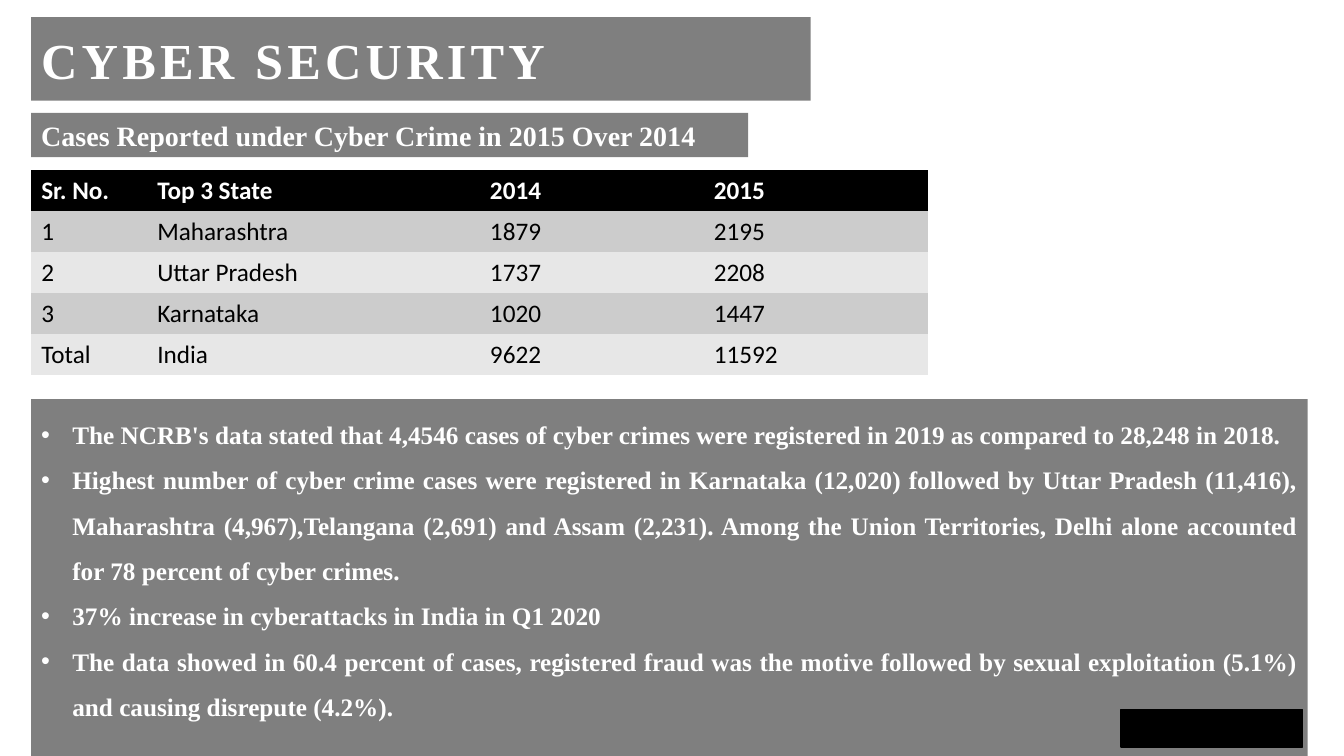
from lxml.etree import SubElement
from pptx import Presentation
from pptx.dml.color import RGBColor
from pptx.enum.shapes import MSO_SHAPE as Shape
from pptx.enum.text import MSO_ANCHOR as Anchor, PP_ALIGN as Align
from pptx.oxml.ns import qn
from pptx.util import Inches, Pt

BLACK = RGBColor(0x00, 0x00, 0x00)
WHITE = RGBColor(0xFF, 0xFF, 0xFF)
BAND_DARK = RGBColor(0xCC, 0xCC, 0xCC)
BAND_LIGHT = RGBColor(0xE7, 0xE7, 0xE7)
SERIF, SANS = "Times New Roman", "Calibri"
PLAIN_TABLE_STYLE = "{2D5ABB26-0587-4C30-8999-92F81FD0307C}"
LEFT = 0.31
INDENT = 0.31

CASES = [
    ["Sr. No.", "Top 3 State", "2014", "2015"],
    ["1", "Maharashtra", "1879", "2195"],
    ["2", "Uttar Pradesh", "1737", "2208"],
    ["3", "Karnataka", "1020", "1447"],
    ["Total", "India", "9622", "11592"],
]
COLUMN_WIDTHS = [1.15, 3.3, 2.22, 2.22]
FINDINGS = [
    "The NCRB's data stated that 4,4546 cases of cyber crimes were registered in 2019 "
    "as compared to 28,248 in 2018.",
    "Highest number of cyber crime cases were registered in Karnataka (12,020) followed by "
    "Uttar Pradesh (11,416), Maharashtra (4,967),Telangana (2,691) and Assam (2,231). "
    "Among the Union Territories, Delhi alone accounted for 78 percent of cyber crimes.",
    "37% increase in cyberattacks in India in Q1 2020",
    "The data showed in 60.4 percent of cases, registered fraud was the motive followed by "
    "sexual exploitation (5.1%) and causing disrepute (4.2%).",
]


def add_run(paragraph, text, size, font_name, color, bold):
    run = paragraph.add_run()
    run.text = text
    run.font.size = Pt(size)
    run.font.name = font_name
    run.font.color.rgb = color
    run.font.bold = bold
    return run


def add_panel(slide, box, opacity=50):
    panel = slide.shapes.add_shape(Shape.RECTANGLE, *map(Inches, box))
    panel.shadow.inherit = False
    panel.fill.solid()
    panel.fill.fore_color.rgb = BLACK
    color = panel.fill._xPr.find(qn("a:solidFill")).find(qn("a:srgbClr"))
    SubElement(color, qn("a:alpha"), val=str(opacity * 1000))
    panel.line.fill.background()
    panel.text_frame.word_wrap = True
    return panel


def add_heading(slide, box, text, size, spacing=0):
    frame = add_panel(slide, box).text_frame
    frame.vertical_anchor = Anchor.MIDDLE
    paragraph = frame.paragraphs[0]
    paragraph.alignment = Align.LEFT
    run = add_run(paragraph, text, size, SERIF, WHITE, True)
    if spacing:
        run.font._element.set("spc", str(spacing * 100))


def add_cases_table(slide, box):
    frame = slide.shapes.add_table(len(CASES), len(COLUMN_WIDTHS), *map(Inches, box))
    table = frame.table
    table.horz_banding = False
    table._tbl.tblPr.find(qn("a:tableStyleId")).text = PLAIN_TABLE_STYLE
    for column, width in zip(table.columns, COLUMN_WIDTHS):
        column.width = Inches(width)
    for row_index, values in enumerate(CASES):
        header = row_index == 0
        band = BLACK if header else (BAND_DARK if row_index % 2 else BAND_LIGHT)
        for column_index, value in enumerate(values):
            cell = table.cell(row_index, column_index)
            cell.fill.solid()
            cell.fill.fore_color.rgb = band
            add_run(cell.text_frame.paragraphs[0], value, 18, SANS,
                    WHITE if header else BLACK, header)


def add_findings(slide, box):
    frame = add_panel(slide, box).text_frame
    frame.vertical_anchor = Anchor.TOP
    for index, finding in enumerate(FINDINGS):
        paragraph = frame.add_paragraph() if index else frame.paragraphs[0]
        paragraph.alignment = Align.JUSTIFY
        paragraph.line_spacing = 1.5
        properties = paragraph._p.get_or_add_pPr()
        properties.set("marL", str(Inches(INDENT)))
        properties.set("indent", str(-Inches(INDENT)))
        SubElement(properties, qn("a:buFont"), typeface="Arial")
        SubElement(properties, qn("a:buChar"), char="•")
        add_run(paragraph, finding, 18, SERIF, WHITE, True)


def add_corner_block(slide, box):
    block = add_panel(slide, box, opacity=100)
    block.line.color.rgb = BLACK
    block.line.width = Pt(1)


def main():
    presentation = Presentation()
    presentation.slide_width = Inches(13.33)
    presentation.slide_height = Inches(7.5)
    slide = presentation.slides.add_slide(presentation.slide_layouts[6])
    add_heading(slide, (LEFT, 0.17, 7.73, 0.83), "CYBER SECURITY", 36, spacing=3)
    add_cases_table(slide, (LEFT, 1.69, sum(COLUMN_WIDTHS), 2.03))
    add_heading(slide, (LEFT, 1.12, 7.11, 0.44),
                "Cases Reported under Cyber Crime in 2015 Over 2014", 20)
    add_findings(slide, (LEFT, 3.96, 12.66, 3.58))
    add_corner_block(slide, (11.12, 7.04, 1.8, 0.37))
    presentation.save("out.pptx")


if __name__ == "__main__":
    main()
